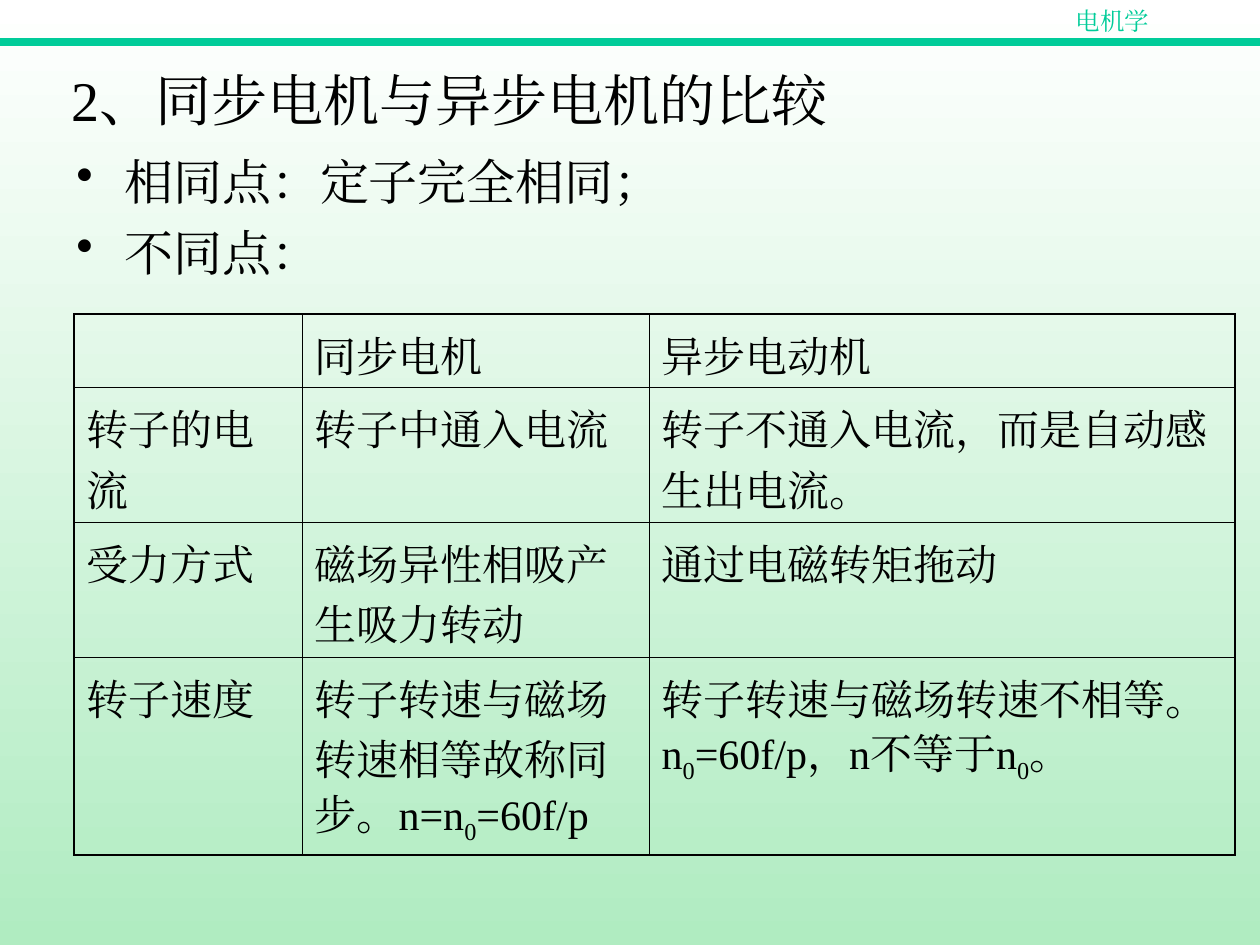
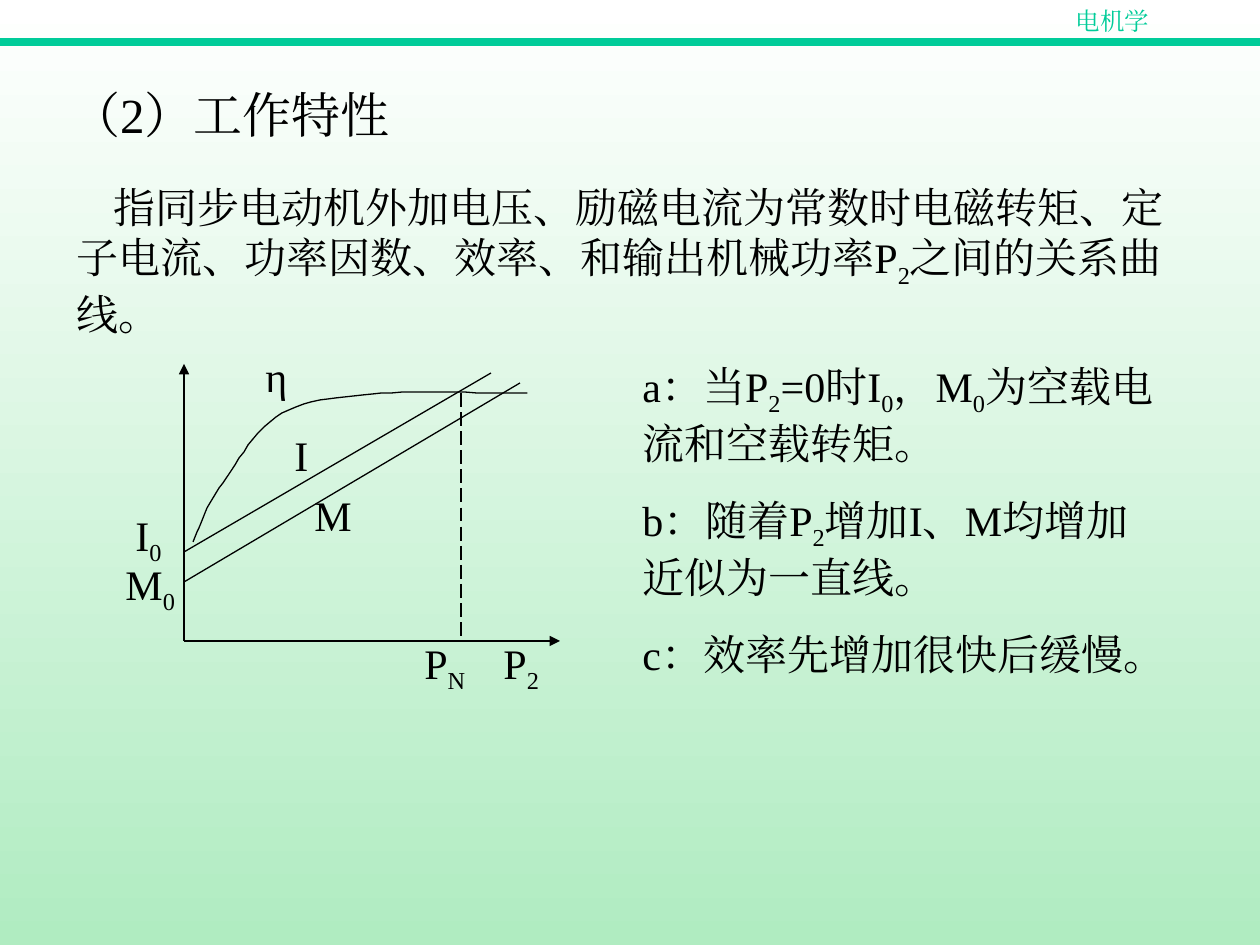
from itertools import product
from lxml.etree import SubElement
from pptx import Presentation
from pptx.dml.color import RGBColor
from pptx.enum.dml import MSO_LINE
from pptx.enum.shapes import MSO_CONNECTOR
from pptx.enum.text import MSO_ANCHOR, PP_ALIGN
from pptx.oxml.ns import qn
from pptx.util import Emu, Pt

SCALE = 914400 / 126
FONT = "Times New Roman"
COLORS = {"accent": "00CC99", "ink": "000000", "top": "FFFFFF", "bottom": "B0ECC1"}
THIN, THICK = 0.45, 1.08


def px(length):
    return Emu(round(length * SCALE))


def rgb(name):
    return RGBColor.from_string(COLORS[name])


def add_run(paragraph, text, size, color, subscript=False):
    run = paragraph.add_run()
    run.text = text
    run.font.size = Pt(size)
    run.font.name = FONT
    run.font.color.rgb = rgb(color)
    properties = run._r.get_or_add_rPr()
    SubElement(properties, qn("a:ea")).set("typeface", FONT)
    if subscript:
        properties.set("baseline", "-25000")


def write_text(frame, text, size=24, color="ink", align=PP_ALIGN.LEFT, before=0,
               line_height=None, indent=0, bullet=False):
    """Each line is a paragraph; the character after "_" is a subscript."""
    frame.word_wrap = True
    for index, line in enumerate(text.split("\n")):
        paragraph = frame.add_paragraph() if index else frame.paragraphs[0]
        paragraph.alignment = align
        paragraph.space_before = Pt(before)
        if line_height:
            paragraph.line_spacing = Pt(line_height)
        properties = paragraph._p.get_or_add_pPr()
        properties.set("indent", str(px(indent)))
        if bullet:
            properties.set("marL", str(px(-indent)))
            bullet_color = SubElement(properties, qn("a:buClr"))
            SubElement(bullet_color, qn("a:srgbClr")).set("val", COLORS[color])
            SubElement(properties, qn("a:buChar")).set("char", "•")
        first, *pieces = line.split("_")
        add_run(paragraph, first, size, color)
        for piece in pieces:
            add_run(paragraph, piece[0], size, color, subscript=True)
            if piece[1:]:
                add_run(paragraph, piece[1:], size, color)


def set_border(cell, side, width):
    line = SubElement(cell._tc.get_or_add_tcPr(), qn(f"a:ln{side}"))
    line.set("w", str(Pt(width)))
    fill = SubElement(line, qn("a:solidFill"))
    SubElement(fill, qn("a:srgbClr")).set("val", COLORS["ink"])


def bezier(start, control1, control2, end, steps=12):
    for step in range(1, steps + 1):
        t = step / steps
        u = 1 - t
        yield tuple(u ** 3 * a + 3 * u * u * t * b + 3 * u * t * t * c + t ** 3 * d
                    for a, b, c, d in zip(start, control1, control2, end))


class Deck:
    def __init__(self):
        self.presentation = Presentation()
        self.presentation.slide_width = px(1260)
        self.presentation.slide_height = px(945)
        self.slide = None

    def new_slide(self, title, top, height, size):
        self.slide = self.presentation.slides.add_slide(self.presentation.slide_layouts[6])
        fill = self.slide.background.fill
        fill.gradient()
        fill.gradient_angle = 270
        for stop, name, position in zip(fill.gradient_stops, ("top", "bottom"), (0, 1)):
            stop.color.rgb = rgb(name)
            stop.position = position
        self.line((0, 42), (1260, 42), color="accent", width=4.5)
        self.text(1018, 0, 189, 43, "电机学", size=14, color="accent",
                  align=PP_ALIGN.CENTER, before=8.8)
        self.text(59, top, 1134, height, title, size=size)

    def text(self, left, top, width, height, text, **style):
        box = self.slide.shapes.add_textbox(px(left), px(top), px(width), px(height))
        box.text_frame.vertical_anchor = MSO_ANCHOR.TOP
        write_text(box.text_frame, text, **style)

    def line(self, start, end, color="ink", width=0.75, dash=None, arrow=False):
        connector = self.slide.shapes.add_connector(
            MSO_CONNECTOR.STRAIGHT, *map(px, start + end))
        connector.line.color.rgb = rgb(color)
        connector.line.width = Pt(width)
        if dash:
            connector.line.dash_style = dash
        if arrow:
            SubElement(connector.line._get_or_add_ln(), qn("a:tailEnd")).set("type", "triangle")
        SubElement(connector._element.spPr, qn("a:effectLst"))

    def curve(self, start, segments):
        points = [start]
        for segment in segments:
            points.extend(bezier(points[-1], *segment))
        builder = self.slide.shapes.build_freeform(*start, scale=SCALE)
        builder.add_line_segments(points[1:], close=False)
        shape = builder.convert_to_shape()
        shape.shadow.inherit = False
        shape.fill.background()
        shape.line.color.rgb = rgb("ink")
        shape.line.width = Pt(0.75)

    def table(self, left, top, widths, heights, rows, **style):
        frame = self.slide.shapes.add_table(len(heights), len(widths), px(left), px(top),
                                            px(sum(widths)), px(sum(heights)))
        table = frame.table
        table.first_row = table.horz_banding = False
        for column, width in zip(table.columns, widths):
            column.width = px(width)
        for row, height in zip(table.rows, heights):
            row.height = px(height)
        last_row, last_column = len(heights) - 1, len(widths) - 1
        for r, c in product(range(len(heights)), range(len(widths))):
            cell = table.cell(r, c)
            outer = {"L": c == 0, "R": c == last_column, "T": r == 0, "B": r == last_row}
            for side, is_outer in outer.items():
                set_border(cell, side, THICK if is_outer else THIN)
            cell.fill.background()
            if rows[r][c]:
                write_text(cell.text_frame, rows[r][c], **style)


def comparison_slide(deck):
    deck.new_slide("2、同步电机与异步电机的比较", top=59, height=97, size=32)
    deck.text(64, 145, 665, 152, "相同点：定子完全相同；\n不同点：",
              size=28, before=7, indent=-48, bullet=True)
    deck.table(74, 314, (228, 347, 586), (73, 134, 135, 198), (
        ("", "同步电机", "异步电动机"),
        ("转子的电流", "转子中通入电流", "转子不通入电流，而是自动感生出电流。"),
        ("受力方式", "磁场异性相吸产生吸力转动", "通过电磁转矩拖动"),
        ("转子速度", "转子转速与磁场转速相等故称同步。n=n_0=60f/p",
         "转子转速与磁场转速不相等。n_0=60f/p，n不等于n_0。"),
    ), before=6, line_height=34.8)


def characteristics_slide(deck):
    deck.new_slide("（2）工作特性", top=78, height=87, size=28)
    deck.text(64, 175, 1142, 171,
              "指同步电动机外加电压、励磁电流为常数时电磁转矩、定子电流、功率因数、效率、"
              "和输出机械功率P_2之间的关系曲线。", before=15, indent=37)

    origin = (184, 641)
    for axis_end in ((184, 364), (560, 641)):
        deck.line(origin, axis_end, arrow=True)
    deck.line((184, 582), (520, 383))
    deck.line((184, 552), (491, 373))
    deck.curve((193, 542), (
        ((200, 523), (208, 504), (223, 483)),
        ((238, 461), (256, 428), (282, 413)),
        ((309, 398), (344, 397), (382, 393)),
        ((420, 391), (488, 393), (512, 393)),
        ((534, 393), (528, 393), (520, 393)),
    ))
    deck.line((461, 393), (461, 641), width=1, dash=MSO_LINE.LONG_DASH)

    for label, left, top, width in (
        ("η", 253, 344, 118), ("I", 282, 423, 59), ("M", 302, 483, 149),
        ("M_0", 113, 552, 118), ("I_0", 123, 503, 110),
        ("P_N", 412, 631, 110), ("P_2", 491, 631, 118),
    ):
        deck.text(left, top, width, 70 if "_" in label else 63, label, before=15)

    deck.text(630, 354, 536, 331,
              "a：当P_2=0时I_0，M_0为空载电流和空载转矩。\n"
              "b：随着P_2增加I、M均增加近似为一直线。\n"
              "c：效率先增加很快后缓慢。", before=15)


def main():
    deck = Deck()
    comparison_slide(deck)
    characteristics_slide(deck)
    deck.presentation.save("out.pptx")


if __name__ == "__main__":
    main()
